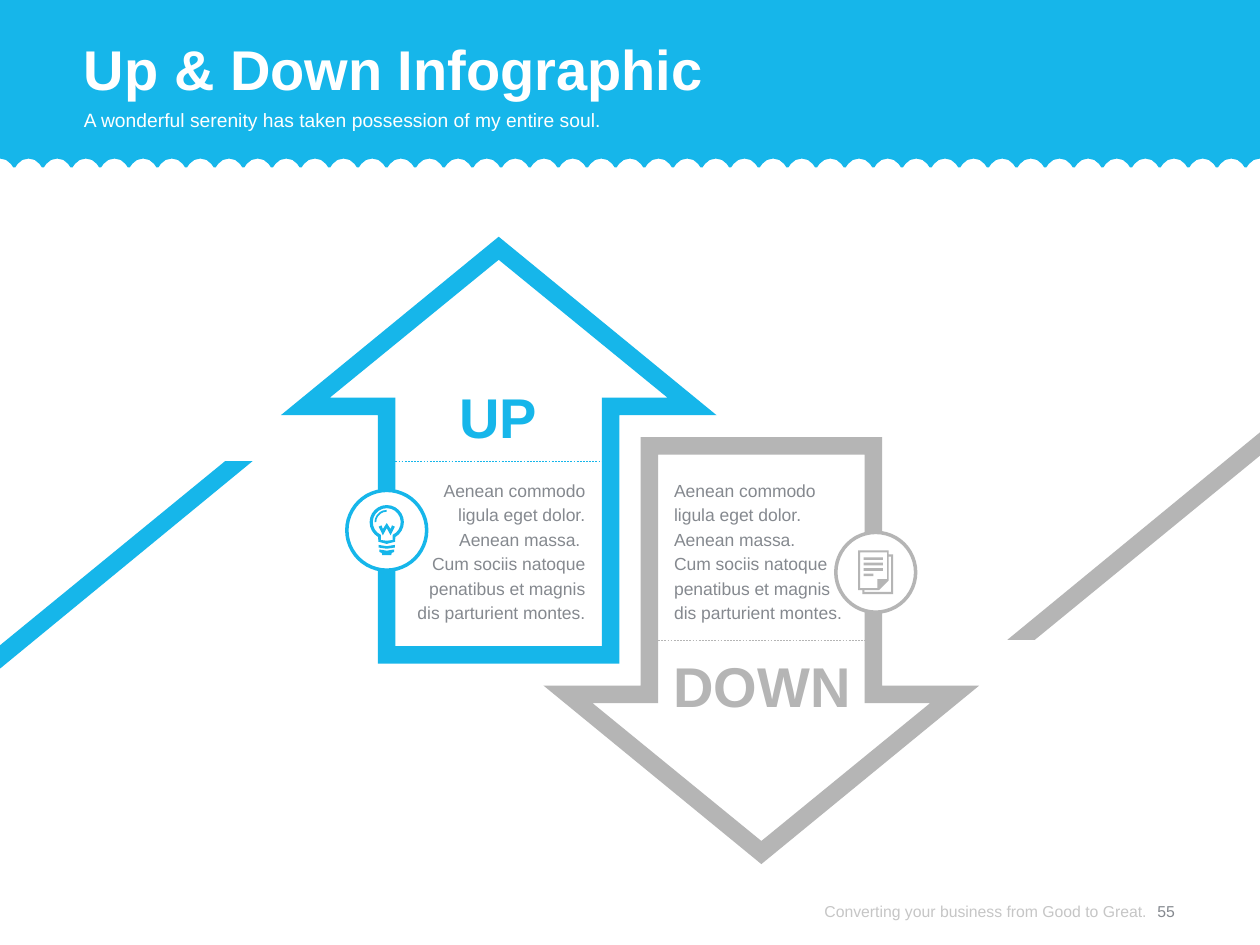
from math import cos, radians, sin

from lxml import etree
from pptx import Presentation
from pptx.dml.color import RGBColor
from pptx.enum import dml, shapes, text
from pptx.oxml import ns
from pptx.util import Pt

BLUE = RGBColor(0x16, 0xB6, 0xEA)
SILVER = RGBColor(0xB5, 0xB5, 0xB5)
SLATE = RGBColor(0x85, 0x89, 0x8F)
PALE = RGBColor(0xC6, 0xC6, 0xC6)
WHITE = RGBColor(0xFF, 0xFF, 0xFF)
ALIGN = text.PP_ALIGN
ARROW_W, ARROW_H = 249, 244


def outline(slide, box, contours, color, turned=False):
    left, top, width, height = box

    def place(point):
        x, y = point
        if turned:
            x, y = width - x, height - y
        return Pt(left + x), Pt(top + y)

    builder = None
    for contour in contours:
        first, *rest = map(place, contour)
        if builder is None:
            builder = slide.shapes.build_freeform(*first)
        else:
            builder.move_to(*first)
        builder.add_line_segments(rest, close=True)
    drawn = builder.convert_to_shape()
    drawn.shadow.inherit = False
    drawn.fill.solid()
    drawn.fill.fore_color.rgb = color
    drawn.line.fill.background()


def write(slide, box, paragraphs, size, color, align=ALIGN.LEFT, bold=False,
          spacing=None, middle=False):
    frame = slide.shapes.add_textbox(*map(Pt, box)).text_frame
    frame.word_wrap = True
    frame.margin_left = frame.margin_right = 0
    frame.margin_top = frame.margin_bottom = 0
    if middle:
        frame.vertical_anchor = text.MSO_ANCHOR.MIDDLE
    for index, words in enumerate(paragraphs):
        paragraph = frame.add_paragraph() if index else frame.paragraphs[0]
        paragraph.alignment = align
        if spacing:
            paragraph.line_spacing = Pt(spacing)
        run = paragraph.add_run()
        run.text = words
        run.font.name = "Arial"
        run.font.size = Pt(size)
        run.font.bold = bold
        run.font.color.rgb = color


def arc(center, radius, start, end, steps):
    angles = [radians(start + (end - start) * i / steps) for i in range(steps + 1)]
    return [(center[0] + radius * cos(a), center[1] + radius * sin(a)) for a in angles]


def rectangle(left, top, right, bottom):
    return [(left, top), (right, top), (right, bottom), (left, bottom)]


def header(slide, box):
    left, top, width, height = box
    crest = height - 5
    period = width / 44
    scallop = [(0, crest), (3.5, crest + 0.8), (6.2, crest + 3), (7.6, height),
               (period - 7.6, height), (period - 6.2, crest + 3),
               (period - 3.5, crest + 0.8)]
    edge = [(i * period + x, y) for i in range(44) for x, y in scallop]
    outline(slide, box, [[(0, 0), *edge, (width, crest), (width, 0)]], BLUE)
    write(slide, (left + 48, top + 13.7, 623.5, 46.8), ["Up & Down Infographic"],
          32, WHITE, bold=True, spacing=42, middle=True)
    write(slide, (left + 48, top + 62, 623.5, 28),
          ["A wonderful serenity has taken possession of my entire soul."], 11, WHITE)


def slash(slide, box, color, turned=False):
    width, height = box[2:]
    outline(slide, box, [[(width, 0), (0, height), (0, height - 13.3), (width - 15.7, 0)]],
            color, turned)


def arrow(slide, box, color, turned=False):
    left, top, width, height = box

    def mirrored(tip, points):
        return [(width / 2, tip), *points] + [(width - x, y) for x, y in reversed(points)]

    outer = mirrored(0, [(0, 102), (55.5, 102), (55.5, height)])
    inner = mirrored(13.2, [(28, 92), (65.5, 92), (65.5, height - 10)])
    outline(slide, box, [outer, inner], color, turned)
    level = top + (height - 128 if turned else 128)
    divider = slide.shapes.add_connector(
        shapes.MSO_CONNECTOR.STRAIGHT, Pt(left + 65.5), Pt(level),
        Pt(left + width - 65.5), Pt(level))
    divider.line.color.rgb = color
    divider.line.width = Pt(0.25)
    divider.line.dash_style = dml.MSO_LINE.DASH
    etree.SubElement(divider.element.spPr, ns.qn("a:effectLst"))


def badge(slide, box, color, icon):
    left, top, width, height = box
    disc = slide.shapes.add_shape(shapes.MSO_SHAPE.OVAL, *map(Pt, box))
    disc.shadow.inherit = False
    disc.fill.solid()
    disc.fill.fore_color.rgb = WHITE
    disc.line.color.rgb = color
    disc.line.width = Pt(2)
    icon_w, icon_h, contours = icon
    outline(slide, (left + (width - icon_w) / 2, top + (height - icon_h) / 2,
                    icon_w, icon_h), contours, color)


def bulb():
    center = (9.8, 9.8)
    glass = arc(center, 9.8, 120, 420, 20) + [(14.6, 21), (9.8, 22.2), (5, 21)]
    hollow = arc(center, 8, 115, 425, 18) + [(13.2, 20), (9.8, 20.4), (6.4, 20)]
    gloss = arc(center, 7, 180, 270, 5) + arc(center, 6, 270, 180, 5)
    filament = [(12, 13.7), (9.8, 10.3), (7.6, 13.7), (6.8, 11.6), (5.2, 12.4),
                (7.6, 17.3), (9.8, 13.2), (12, 17.3), (14.4, 12.4), (12.8, 11.6)]
    collar = [(5.2, 22.8), (9.8, 23.5), (14.4, 22.8), (14.4, 24.3), (9.8, 25), (5.2, 24.3)]
    cap = [(5.6, 25.4), (9.8, 26.1), (14, 25.4), (14, 26.8), (12.6, 27.4),
           (12.4, 28.6), (7.2, 28.6), (7, 27.4), (5.6, 26.8)]
    return 19.6, 28.8, [glass, hollow, gloss, filament, collar, cap]


def document():
    silhouette = [(0, 0), (17.5, 0), (17.5, 2.4), (20, 2.4), (20, 25), (2.4, 25),
                  (2.4, 22.7), (0, 22.7)]
    page = [(1.2, 1.2), (16.5, 1.2), (16.5, 16.4), (11, 16.4), (11, 21.6), (1.2, 21.6)]
    behind = [(17.5, 3.6), (18.8, 3.6), (18.8, 23.8), (3.6, 23.8), (3.6, 22.7),
              (12, 22.7), (17.5, 17.2)]
    lines = [rectangle(3.2, 4 + 3.1 * row, right, 5.5 + 3.1 * row)
             for row, right in enumerate((14.2, 14.2, 14.2, 8.7))]
    return 20, 25, [silhouette, page, behind, *lines]


def up_panel(slide, box):
    left, top = box[:2]
    arrow(slide, box, BLUE)
    badge(slide, (left + 37.7, top + 144.9, 45.6, 45.6), BLUE, bulb())
    write(slide, (left + 74.4, top + 136.8, 99.4, 85),
          ["Aenean commodo ligula eget dolor. Aenean massa. ",
           "Cum sociis natoque penatibus et magnis dis parturient montes."],
          10, SLATE, ALIGN.RIGHT, spacing=14)
    write(slide, (left + 74.4, top + 83.5, 99.4, 38.9), ["UP"], 32, BLUE,
          ALIGN.CENTER, bold=True)


def down_panel(slide, box):
    left, top = box[:2]
    arrow(slide, box, SILVER, turned=True)
    badge(slide, (left + 167, top + 54.4, 45.6, 45.6), SILVER, document())
    write(slide, (left + 74.6, top + 22.4, 99.4, 85),
          ["Aenean commodo ligula eget dolor. Aenean massa.",
           "Cum sociis natoque penatibus et magnis dis parturient montes."],
          10, SLATE, spacing=14)
    write(slide, (left + 69.4, top + 122.5, 110.9, 38.9), ["DOWN"], 32, SILVER,
          ALIGN.CENTER, bold=True)


def footer(slide, box):
    left, top, width, height = box
    write(slide, (left, top, 220.3, height),
          ["Converting your business from Good to Great."], 9, PALE,
          ALIGN.RIGHT, middle=True)
    write(slide, (left + width - 33.8, top, 33.8, height), ["55"], 9, SLATE,
          ALIGN.CENTER, middle=True)


def main():
    deck = Presentation()
    deck.slide_width, deck.slide_height = Pt(720), Pt(540)
    slide = deck.slides.add_slide(deck.slide_layouts[6])
    header(slide, (0, 0, 720, 95.6))
    slash(slide, (0, 263.5, 144.4, 118.6), BLUE)
    slash(slide, (575.6, 247.1, 144.4, 118.6), SILVER, turned=True)
    down_panel(slide, (310.6, 249.8, ARROW_W, ARROW_H))
    up_panel(slide, (160.5, 135.3, ARROW_W, ARROW_H))
    footer(slide, (434.9, 501.1, 248.4, 38.9))
    deck.save("out.pptx")


if __name__ == "__main__":
    main()
